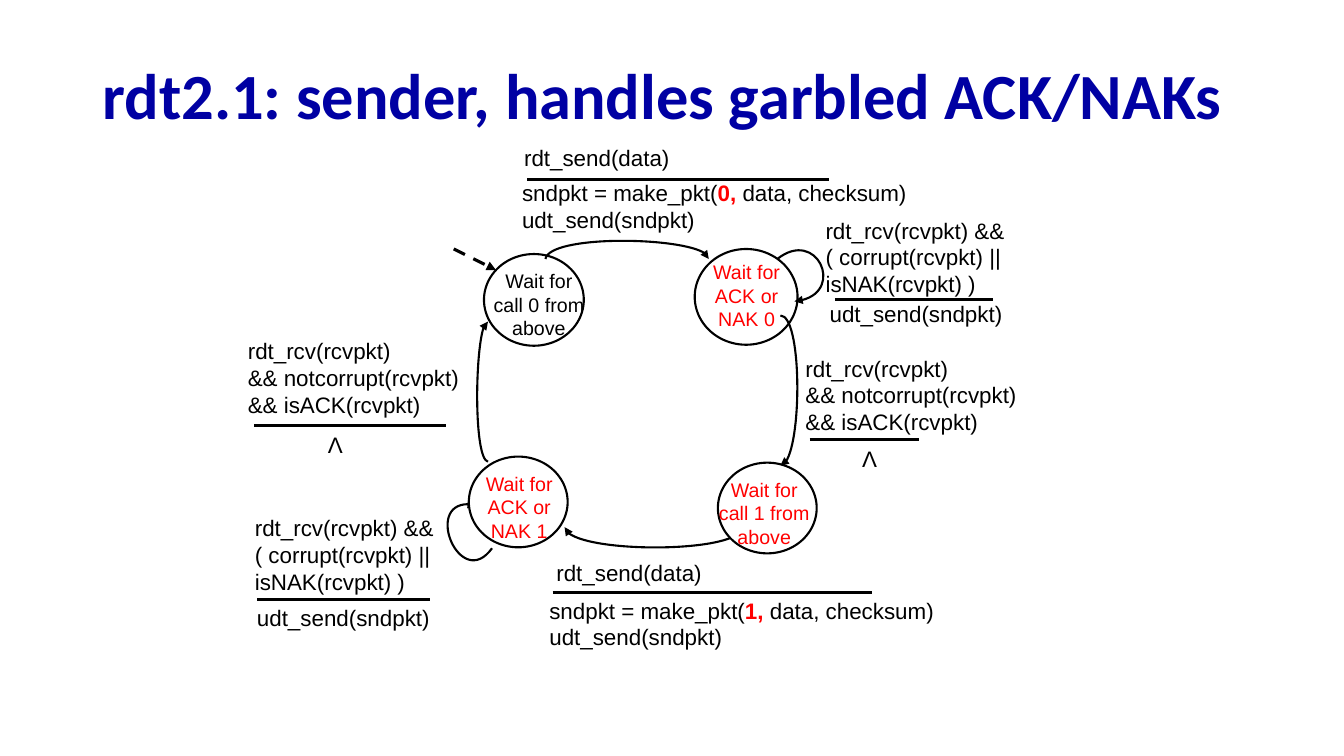
from dataclasses import dataclass

from lxml import etree
from pptx import Presentation
from pptx.dml.color import RGBColor
from pptx.enum import dml, shapes, text
from pptx.oxml import ns
from pptx.util import Inches, Pt


@dataclass(frozen=True)
class Theme:
    title_font: str = "Calibri"
    body_font: str = "Arial"
    navy: RGBColor = RGBColor(0x00, 0x00, 0xA3)
    black: RGBColor = RGBColor(0x00, 0x00, 0x00)
    red: RGBColor = RGBColor(0xFF, 0x00, 0x00)
    white: RGBColor = RGBColor(0xFF, 0xFF, 0xFF)
    title_size: Pt = Pt(46)
    label_size: Pt = Pt(16)
    state_size: Pt = Pt(14)
    thin: Pt = Pt(1.5)
    thick: Pt = Pt(2.25)


THEME = Theme()

# Circle bounds, text bounds, text, text colour
UPPER_STATES = [
    ((4.8, 2.52, 0.99, 0.91), (4.75, 2.62, 1.19, 0.67),
     ["Wait for call 0 from above"], THEME.black),
    ((6.89, 2.47, 1.02, 0.95), (6.81, 2.53, 1.19, 0.71),
     ["Wait for ACK or NAK 0"], THEME.red),
]
LOWER_STATES = [
    ((7.12, 4.59, 0.98, 0.9), (6.97, 4.69, 1.22, 0.67),
     ["Wait for", "call 1 from above"], THEME.red),
    ((4.65, 4.53, 0.98, 0.9), (4.58, 4.63, 1.14, 0.67),
     ["Wait for ACK or NAK 1"], THEME.red),
]

# Start, two control points, end (the arrow points at the end)
TRANSITIONS = [
    [(4.88, 5.44), (4.57, 5.87), (4.16, 4.91), (4.72, 5.01)],
    [(5.41, 2.57), (5.45, 2.33), (7.03, 2.35), (7.03, 2.57)],
    [(7.71, 2.57), (8.1, 2.26), (8.41, 2.94), (7.88, 2.99)],
    [(4.84, 4.58), (4.7, 4.55), (4.71, 3.19), (4.84, 3.19)],
    [(7.36, 5.23), (7.36, 5.48), (5.64, 5.5), (5.6, 5.23)],
    [(7.74, 3.13), (7.95, 3.13), (7.96, 4.59), (7.74, 4.62)],
]

SEND = ["rdt_send(data)"]
GARBLED = ["rdt_rcv(rcvpkt) &&", "( corrupt(rcvpkt) ||", "isNAK(rcvpkt) )"]
RECEIVED = ["rdt_rcv(rcvpkt)", "&& notcorrupt(rcvpkt)", "&& isACK(rcvpkt)"]
RESEND = ["udt_send(sndpkt)"]
NOTHING = ["Λ"]


def make_packet(number):
    return [f"sndpkt = make_pkt(**{number},** data, checksum)", *RESEND]


# Event and its bounds, rule (left, right, height), action and its bounds
RULES = [
    (SEND, (5.1, 1.38, 2.31, 0.33), (5.23, 8.22, 1.78),
     make_packet(0), (5.08, 1.73, 4.04, 0.44)),
    (GARBLED, (8.09, 2.1, 2.8, 0.62), (8.28, 9.85, 2.97),
     RESEND, (8.13, 2.93, 2.47, 0.44)),
    (RECEIVED, (7.89, 3.47, 3.28, 0.62), (8.03, 9.12, 4.36),
     NOTHING, (8.45, 4.37, 0.35, 0.37)),
    (SEND, (5.42, 5.5, 2.61, 0.31), (5.48, 8.65, 5.88),
     make_packet(1), (5.35, 5.87, 4.12, 0.44)),
    (GARBLED, (2.43, 5.05, 2.2, 0.62), (2.55, 4.26, 5.95),
     RESEND, (2.45, 5.94, 1.99, 0.3)),
    (RECEIVED, (2.36, 3.3, 2.31, 0.62), (2.52, 4.42, 4.22),
     NOTHING, (3.15, 4.23, 0.35, 0.37)),
]


def inches(values):
    return [Inches(value) for value in values]


def add_text(slide, bounds, lines, size=THEME.label_size, color=THEME.black,
             align=text.PP_ALIGN.LEFT, wrap=True):
    """Add one paragraph a line; words between ** marks are bold and red."""
    frame = slide.shapes.add_textbox(*inches(bounds)).text_frame
    frame.word_wrap = wrap
    for index, line in enumerate(lines):
        paragraph = frame.add_paragraph() if index else frame.paragraphs[0]
        paragraph.alignment = align
        paragraph.font.name = THEME.body_font
        paragraph.font.size = size
        paragraph.font.color.rgb = color
        for position, words in enumerate(line.split("**")):
            run = paragraph.add_run()
            run.text = words
            if position % 2:
                run.font.bold = True
                run.font.color.rgb = THEME.red


def add_title(slide, title):
    frame = slide.shapes.add_textbox(*inches((0.92, 0.49, 11.5, 0.98))).text_frame
    frame.word_wrap = True
    frame.vertical_anchor = text.MSO_ANCHOR.MIDDLE
    paragraph = frame.paragraphs[0]
    paragraph.text = title
    paragraph.line_spacing = 0.9
    paragraph.font.name = THEME.title_font
    paragraph.font.size = THEME.title_size
    paragraph.font.bold = True
    paragraph.font.color.rgb = THEME.navy


def add_state(slide, circle, bounds, lines, color):
    shape = slide.shapes.add_shape(shapes.MSO_SHAPE.OVAL, *inches(circle))
    shape.shadow.inherit = False
    shape.fill.solid()
    shape.fill.fore_color.rgb = THEME.white
    shape.line.color.rgb = THEME.black
    shape.line.width = THEME.thin
    add_text(slide, bounds, lines, THEME.state_size, color, text.PP_ALIGN.CENTER)


def add_arrowhead(shape):
    outline = shape.element.spPr.find(ns.qn("a:ln"))
    etree.SubElement(outline, ns.qn("a:tailEnd"), type="triangle")


def add_line(slide, start, end):
    connector = slide.shapes.add_connector(
        shapes.MSO_CONNECTOR.STRAIGHT, *inches(start + end))
    connector.line.color.rgb = THEME.black
    connector.line.width = THEME.thick
    etree.SubElement(connector.element.spPr, ns.qn("a:effectLst"))
    return connector


def add_start_arrow(slide):
    connector = add_line(slide, (4.5, 2.47), (4.92, 2.68))
    connector.line.dash_style = dml.MSO_LINE.DASH
    add_arrowhead(connector)


def add_curve(slide, points):
    """Draw a cubic curve through a start, two control points and an end."""
    start, *others = [inches(point) for point in points]
    builder = slide.shapes.build_freeform(*start)
    builder.add_line_segments(others, close=False)
    shape = builder.convert_to_shape()
    segments = list(shape.element.iter(ns.qn("a:lnTo")))
    outline = segments[0].getparent()
    cubic = etree.SubElement(outline, ns.qn("a:cubicBezTo"))
    for segment in segments:
        cubic.append(segment[0])
        outline.remove(segment)
    shape.shadow.inherit = False
    shape.fill.background()
    shape.line.color.rgb = THEME.black
    shape.line.width = THEME.thin
    add_arrowhead(shape)


def add_rule(slide, event, event_bounds, rule, action, action_bounds):
    """Write an event above a line and the action it causes below."""
    left, right, height = rule
    add_text(slide, event_bounds, event)
    add_line(slide, (left, height), (right, height))
    if action is NOTHING:
        add_text(slide, action_bounds, action,
                 align=text.PP_ALIGN.CENTER, wrap=False)
    else:
        add_text(slide, action_bounds, action)


def main():
    presentation = Presentation()
    presentation.slide_width = Inches(13.33)
    presentation.slide_height = Inches(7.5)
    slide = presentation.slides.add_slide(presentation.slide_layouts[6])
    add_title(slide, "rdt2.1: sender, handles garbled ACK/NAKs")
    for state in UPPER_STATES:
        add_state(slide, *state)
    add_start_arrow(slide)
    for points in TRANSITIONS:
        add_curve(slide, points)
    for state in LOWER_STATES:
        add_state(slide, *state)
    for rule in RULES:
        add_rule(slide, *rule)
    presentation.save("out.pptx")


if __name__ == "__main__":
    main()
